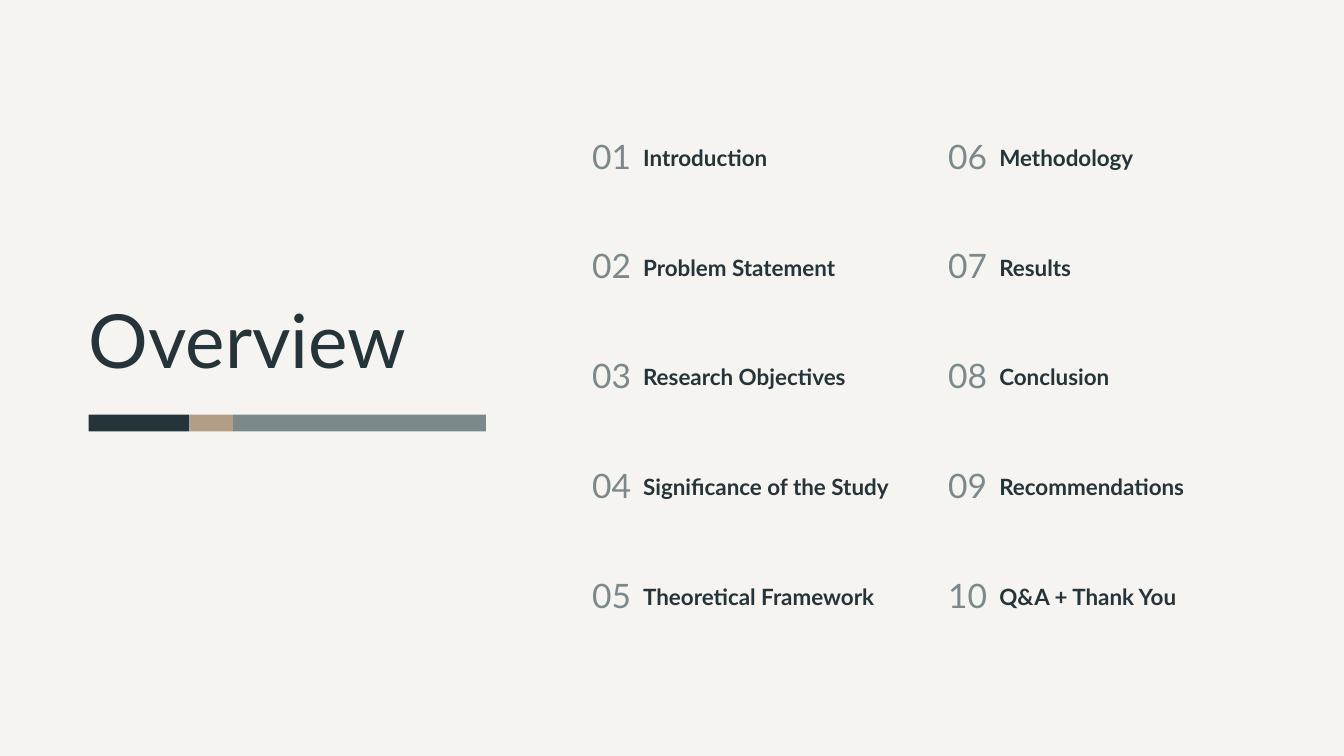
import pptx
import pptx.util
import pptx.dml.color
import pptx.enum.shapes
import pptx.enum.text
from dataclasses import dataclass

PX = 9144


@dataclass(frozen=True)
class Theme:
    font: str = "Lato"
    paper: str = "F6F4F1"
    ink: str = "253439"
    slate: str = "7C898B"
    tan: str = "B29E84"
    title: int = 80
    label: int = 24
    number: int = 36


THEME = Theme()
ALIGN = pptx.enum.text.PP_ALIGN
TOPICS = [
    ["Introduction", "Problem Statement", "Research Objectives",
     "Significance of the Study", "Theoretical Framework"],
    ["Methodology", "Results", "Conclusion", "Recommendations",
     "Q&A + Thank You"],
]


def scale(*box):
    return [pptx.util.Emu(side * PX) for side in box]


def color(code):
    return pptx.dml.color.RGBColor.from_string(code)


def apply(item, form):
    for name, value in form.items():
        setattr(item, name, value)


def write(slide, box, text, size, code, line, align=ALIGN.LEFT, bold=False):
    frame = slide.shapes.add_textbox(*scale(*box)).text_frame
    apply(frame, {
        "margin_left": 0, "margin_top": 0,
        "margin_right": 0, "margin_bottom": 0,
        "word_wrap": True,
        "auto_size": pptx.enum.text.MSO_AUTO_SIZE.SHAPE_TO_FIT_TEXT,
    })
    para = frame.paragraphs[0]
    apply(para, {"alignment": align, "line_spacing": pptx.util.Pt(line)})
    run = para.add_run()
    run.text = text
    apply(run.font, {"name": THEME.font, "size": pptx.util.Pt(size),
                     "bold": bold})
    run.font.color.rgb = color(code)


def add_title(slide, box):
    left, top, width, height = box
    write(slide, box, "Overview", THEME.title, THEME.ink, THEME.title)


def add_stripe(slide, box):
    left, top, width, height = box
    dark, light = 150, 65
    parts = [(dark, THEME.ink), (light, THEME.tan),
             (width - dark - light, THEME.slate)]
    for span, code in parts:
        bar = slide.shapes.add_shape(
            pptx.enum.shapes.MSO_SHAPE.RECTANGLE,
            *scale(left, top, span, height))
        bar.shadow.inherit = False
        bar.fill.solid()
        bar.fill.fore_color.rgb = color(code)
        bar.line.fill.background()
        left += span


def add_topics(slide, box, topics, first):
    left, top, width, height = box
    tall, wide, inset = 54, 121, 139
    pitch = (height - tall) / (len(topics) - 1)
    for row, topic in enumerate(topics):
        y = top + round(row * pitch)
        write(slide, (left, y, wide, tall), f"{first + row:02}",
              THEME.number, THEME.slate, THEME.number, ALIGN.RIGHT)
        write(slide, (left + inset, y + 6, width - inset, 38), topic,
              THEME.label, THEME.ink, THEME.label * 1.1, bold=True)


def main():
    deck = pptx.Presentation()
    deck.slide_width, deck.slide_height = scale(2000, 1125)
    slide = deck.slides.add_slide(deck.slide_layouts[6])
    slide.background.fill.solid()
    slide.background.fill.fore_color.rgb = color(THEME.paper)
    add_title(slide, (132, 459, 668, 117))
    add_stripe(slide, (132, 617, 591, 25))
    boxes = [(818, 212, 553, 707), (1348, 212, 520, 707)]
    first = 1
    for box, topics in zip(boxes, TOPICS):
        add_topics(slide, box, topics, first)
        first += len(topics)
    deck.save("out.pptx")


if __name__ == "__main__":
    main()
